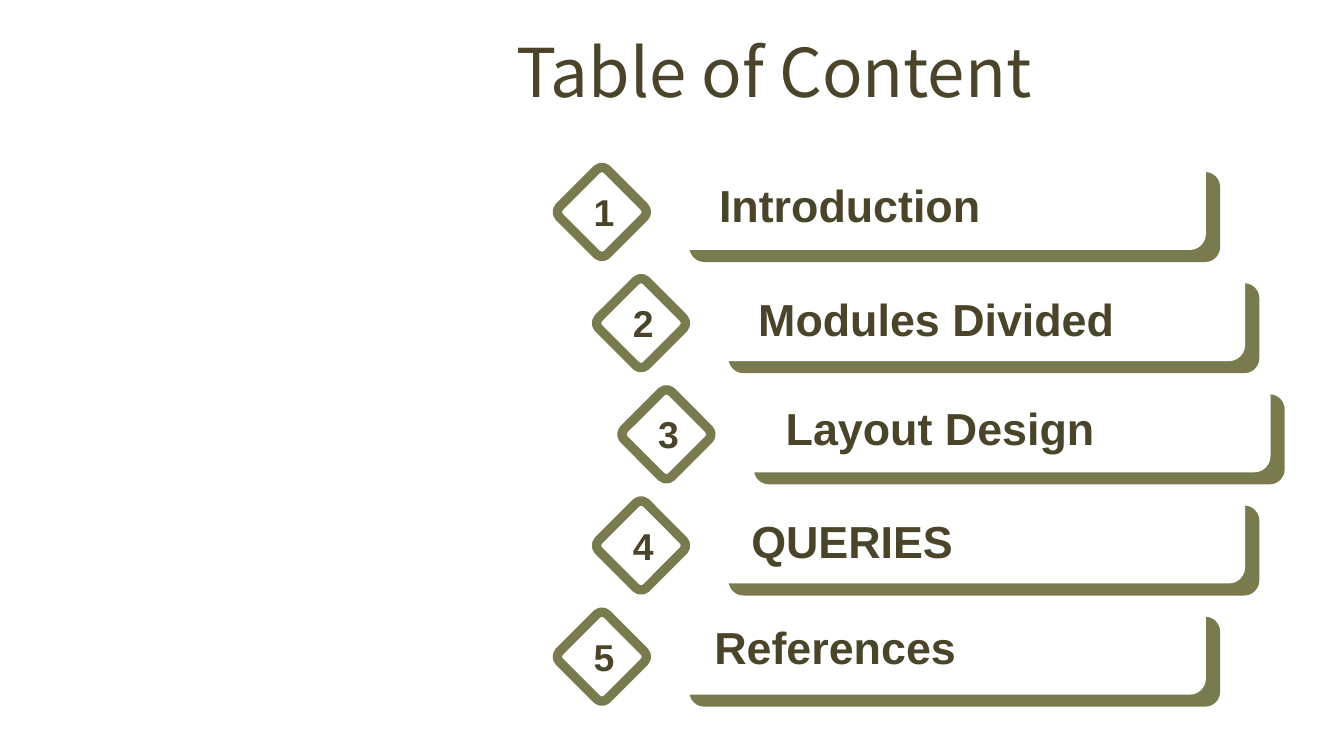
"""Build a table of contents slide with five numbered, staggered cards."""
from dataclasses import dataclass

from pptx import Presentation
from pptx.dml.color import RGBColor
from pptx.enum.shapes import MSO_SHAPE
from pptx.enum.text import MSO_ANCHOR, MSO_AUTO_SIZE, PP_ALIGN
from pptx.util import Cm, Pt


@dataclass(frozen=True)
class Theme:
    ink: RGBColor = RGBColor(0x4A, 0x45, 0x2A)
    olive: RGBColor = RGBColor(0x79, 0x7B, 0x4F)
    paper: RGBColor = RGBColor(0xFF, 0xFF, 0xFF)
    title_font: str = "Noto Sans CJK SC"
    body_font: str = "Arial"
    title_size: Pt = Pt(36)
    label_size: Pt = Pt(24)
    number_size: Pt = Pt(20)


theme = Theme()


def add_panel(group, left, top, width, height, corner, fill, line=None, line_width=0):
    panel = group.shapes.add_shape(
        MSO_SHAPE.ROUNDED_RECTANGLE, Cm(left), Cm(top), Cm(width), Cm(height))
    panel.adjustments[0] = corner
    panel.shadow.inherit = False
    panel.fill.solid()
    panel.fill.fore_color.rgb = fill
    if line is None:
        panel.line.fill.background()
    else:
        panel.line.color.rgb = line
        panel.line.width = Pt(line_width)
    return panel


def add_label(group, text, left, top, width, height, size, align):
    box = group.shapes.add_textbox(Cm(left), Cm(top), Cm(width), Cm(height))
    box.text_frame.word_wrap = True
    box.text_frame.text = text
    para = box.text_frame.paragraphs[0]
    para.alignment = align
    font = para.runs[0].font
    font.name = theme.body_font
    font.size = size
    font.bold = True
    font.color.rgb = theme.ink


deck = Presentation()
deck.slide_width, deck.slide_height = Cm(25.4), Cm(14.28)
page = deck.slides.add_slide(deck.slide_layouts[5])

title = page.shapes.title
title.left, title.top, title.width, title.height = Cm(9.5), Cm(0.53), Cm(15.9), Cm(1.6)
title.text_frame.text = "Table of Content"
title.text_frame.auto_size = MSO_AUTO_SIZE.NONE
title.text_frame.vertical_anchor = MSO_ANCHOR.MIDDLE
title_para = title.text_frame.paragraphs[0]
title_para.alignment = PP_ALIGN.LEFT
title_font = title_para.runs[0].font
title_font.name = theme.title_font
title_font.size = theme.title_size
title_font.color.rgb = theme.ink

first_left, first_top, row_pitch = 10.74, 3.0, 2.1
card_width, card_height = 10.03, 1.7

# entries: text, row indent, label offset from the card's left and top
entries = [
    ("Introduction", 0, 0.6, 0.23),
    ("Modules Divided", 0.74, 0.6, 0.28),
    ("Layout Design", 1.22, 0.64, 0.24),
    ("QUERIES", 0.74, 0.47, 0.28),
    ("References", 0, 0.51, 0.18),
]

for index, (text, indent, label_x, label_y) in enumerate(entries):
    left = first_left + indent
    top = first_top + index * row_pitch
    card_left = left + 2
    group = page.shapes.add_group_shape()
    add_panel(group, card_left + 0.29, top + 0.25, card_width, card_height, 0.167, theme.olive)
    add_panel(group, card_left, top, card_width, card_height, 0.167,
              theme.paper, theme.paper, 1.25)
    add_label(group, text, card_left + label_x, top + label_y, 8.4, 1.42,
              theme.label_size, PP_ALIGN.LEFT)
    diamond = add_panel(group, left, top + 0.37, 1.27, 1.27, 0.107,
                        theme.paper, theme.olive, 5)
    diamond.rotation = 45
    add_label(group, str(index + 1), left + 0.23, top + 0.45, 0.84, 1.12,
              theme.number_size, PP_ALIGN.CENTER)

deck.save("out.pptx")
